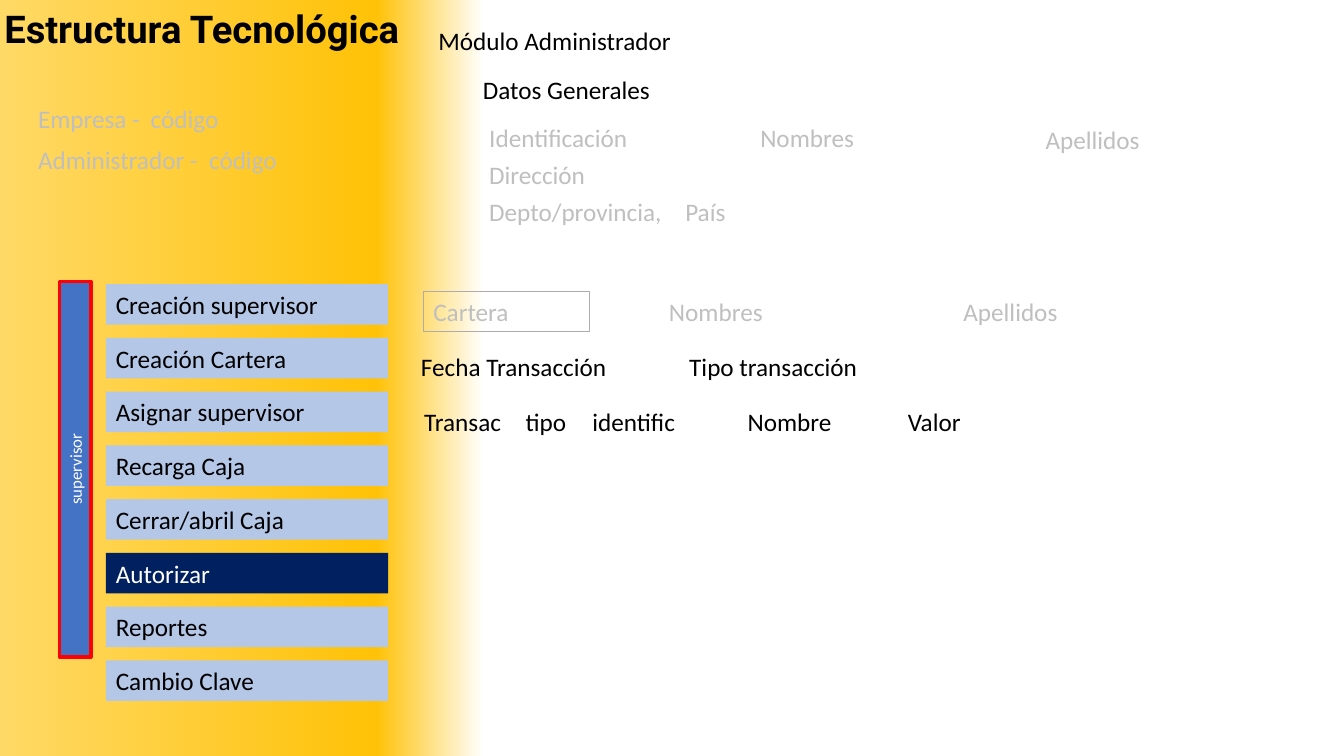
from copy import deepcopy

from pptx import Presentation
from pptx.dml.color import RGBColor
from pptx.enum.shapes import MSO_SHAPE
from pptx.enum.text import MSO_ANCHOR, MSO_AUTO_SIZE, PP_ALIGN
from pptx.oxml.ns import qn
from pptx.util import Cm, Pt

BLACK = RGBColor(0x00, 0x00, 0x00)
WHITE = RGBColor(0xFF, 0xFF, 0xFF)
GREY = RGBColor(0xBF, 0xBF, 0xBF)
BORDER = RGBColor(0xAF, 0xAB, 0xAB)
AMBER = RGBColor(0xFF, 0xC2, 0x08)
SAND = RGBColor(0xFF, 0xD9, 0x66)
PALE_BLUE = RGBColor(0xB4, 0xC7, 0xE7)
BLUE = RGBColor(0x44, 0x72, 0xC4)
NAVY = RGBColor(0x00, 0x20, 0x60)
RED = RGBColor(0xFF, 0x00, 0x00)

ROW_HEIGHT = 1.02
MENU = ["Creación supervisor", "Creación Cartera", "Asignar supervisor", "Recarga Caja",
        "Cerrar/abril Caja", "Autorizar", "Reportes", "Cambio Clave"]
SELECTED = "Autorizar"


def write(shape, text, color, size=18, align=PP_ALIGN.LEFT, wrap=True, tab=None):
    frame = shape.text_frame
    frame.word_wrap = wrap
    frame.auto_size = MSO_AUTO_SIZE.SHAPE_TO_FIT_TEXT
    para = frame.paragraphs[0]
    para.text = text
    para.alignment = align
    if tab:
        tabs = para._p.get_or_add_pPr().makeelement(qn("a:tabLst"), {})
        stop = tabs.makeelement(qn("a:tab"), {"pos": str(Cm(tab)), "algn": "l"})
        tabs.append(stop)
        para._p.get_or_add_pPr().append(tabs)
    para.font.name = "Calibri"
    para.font.size = Pt(size)
    para.font.color.rgb = color


def add_label(page, left, top, width, text, color=BLACK, tab=None):
    box = page.shapes.add_textbox(Cm(left), Cm(top), Cm(width), Cm(ROW_HEIGHT))
    write(box, text, color, wrap=color == GREY, tab=tab)


def add_box(page, left, top, width, height, fill=None, line=None, weight=0.75):
    box = page.shapes.add_shape(MSO_SHAPE.RECTANGLE, Cm(left), Cm(top), Cm(width), Cm(height))
    box.shadow.inherit = False
    if fill is None:
        box.fill.background()
    else:
        box.fill.solid()
        box.fill.fore_color.rgb = fill
    if line is None:
        box.line.fill.background()
    else:
        box.line.color.rgb = line
        box.line.width = Pt(weight)
    return box


def paint_background(page):
    fill = page.background.fill
    fill.gradient()
    fill.gradient_angle = 180
    stop_list = page.element.find(".//" + qn("a:gsLst"))
    stop_list.append(deepcopy(stop_list[-1]))
    colors = [(0.64, WHITE), (0.72, AMBER), (1, SAND)]
    for stop, (position, color) in zip(fill.gradient_stops, colors):
        stop.position = position
        stop.color.rgb = color


def place_title(page, left, top, width, height):
    title = page.shapes.title
    title.left, title.top, title.width, title.height = Cm(left), Cm(top), Cm(width), Cm(height)
    frame = title.text_frame
    frame.text = "Estructura Tecnológica"
    frame.word_wrap = True
    frame.auto_size = MSO_AUTO_SIZE.NONE
    frame.vertical_anchor = MSO_ANCHOR.BOTTOM
    para = frame.paragraphs[0]
    para.alignment = PP_ALIGN.CENTER
    para.line_spacing = 0.8
    para.font.name = "Roboto"
    para.font.size = Pt(27.3)
    para.font.bold = True
    para.font.color.rgb = BLACK


def draw_account(page, left, top, width):
    add_label(page, left, top, width, "Empresa -\tcódigo", GREY, tab=2.84)
    add_label(page, left, top + 1.03, width, "Administrador -\tcódigo", GREY, tab=4.31)


def draw_role_bar(page, left, top, width, height):
    shift = (height - width) / 2
    bar = add_box(page, left - shift, top + shift, height, width, BLUE, RED, 2.5)
    bar.rotation = 270
    write(bar, "supervisor", WHITE, size=12, align=PP_ALIGN.CENTER)


def draw_menu(page, left, top, width, height):
    pitch = (height - ROW_HEIGHT) / (len(MENU) - 1)
    for row, label in enumerate(MENU):
        chosen = label == SELECTED
        button = add_box(page, left, top + row * pitch, width, ROW_HEIGHT,
                         NAVY if chosen else PALE_BLUE)
        write(button, label, WHITE if chosen else BLACK)


def draw_personal_data(page, left, top):
    add_label(page, left, top, 6.43, "Módulo Administrador")
    add_label(page, left + 1.12, top + 1.24, 4.78, "Datos Generales")
    field_left, field_top = left + 1.28, top + 2.44
    add_label(page, field_left, field_top, 8.1, "Identificación", GREY)
    add_label(page, field_left + 6.83, field_top, 8.1, "Nombres", GREY)
    add_label(page, field_left + 14.02, field_top + 0.05, 9.25, "Apellidos", GREY)
    add_label(page, field_left, field_top + 0.93, 13.31, "Dirección", GREY)
    add_label(page, field_left, field_top + 1.87, 13.31, "Depto/provincia,\tPaís", GREY, tab=4.94)


def draw_transactions(page, left, top):
    portfolio = add_box(page, left + 0.31, top, 4.19, ROW_HEIGHT, line=BORDER)
    write(portfolio, "Cartera", GREY)
    add_label(page, left + 6.25, top, 7.01, "Nombres", GREY)
    add_label(page, left + 13.67, top, 9.02, "Apellidos", GREY)
    add_label(page, left, top + 1.4, 5.38, "Fecha Transacción")
    add_label(page, left + 6.76, top + 1.4, 4.78, "Tipo transacción")
    columns = [("Transac", 0.08, 2.62), ("tipo", 2.64, 1.7), ("identific", 4.32, 2.77),
               ("Nombre", 8.23, 2.64), ("Valor", 12.27, 2.01)]
    for heading, offset, width in columns:
        add_label(page, left + offset, top + 2.77, width, heading)


def main():
    deck = Presentation()
    deck.slide_width, deck.slide_height = Cm(33.87), Cm(19.05)
    page = deck.slides.add_slide(deck.slide_layouts[5])
    paint_background(page)
    place_title(page, -0.2, 0.13, 10.57, 1.27)
    draw_account(page, 0.71, 2.49, 7.04)
    draw_role_bar(page, 1.5, 7.09, 0.79, 9.47)
    draw_menu(page, 2.67, 7.16, 7.11, 10.5)
    draw_personal_data(page, 10.8, 0.51)
    draw_transactions(page, 10.36, 7.34)
    deck.save("out.pptx")


if __name__ == "__main__":
    main()
